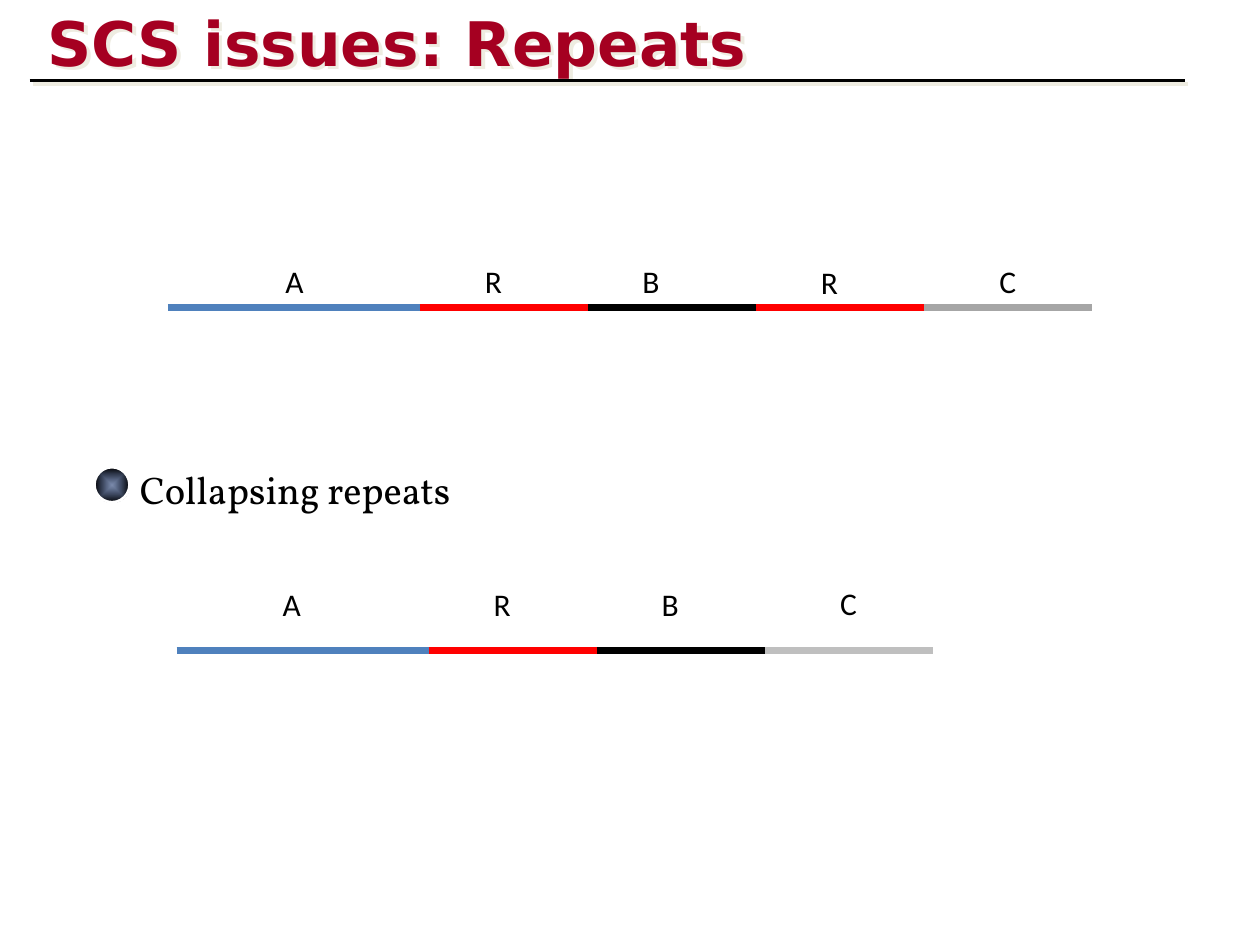
from dataclasses import dataclass
from typing import Any, Optional

from lxml.etree import SubElement
from pptx import Presentation
from pptx.dml.color import RGBColor as Color
from pptx.enum.shapes import MSO_CONNECTOR as Connector, MSO_SHAPE as Preset
from pptx.enum.text import MSO_ANCHOR as Anchor, MSO_AUTO_SIZE as AutoSize, PP_ALIGN as Align
from pptx.oxml import parse_xml
from pptx.oxml.ns import nsdecls, qn
from pptx.util import Pt


@dataclass(frozen=True)
class Theme:
    """Colours, fonts and type sizes of the slide."""
    ink: str = "000000"
    title: str = "A50021"
    shadow: str = "EEECE1"
    unique: str = "4F81BD"
    repeat: str = "FF0000"
    tail: str = "A6A6A6"
    merged_tail: str = "BFBFBF"
    ball: str = "002060"
    ball_edge: str = "FFFFFF"
    title_font: str = "DejaVu Sans"
    body_font: str = "Vollkorn"
    label_font: str = "Calibri"
    title_size: float = 35.1
    body_size: float = 22
    label_size: float = 18
    segment_width: float = 4
    rule_width: float = 2.25


THEME = Theme()


@dataclass(frozen=True)
class Segment:
    """One stretch of a sequence and the place of its label."""
    name: str
    length: float
    color: str
    label_left: float
    label_drop: float = 0


@dataclass(frozen=True)
class Sequence:
    """A row of segments laid end to end."""
    left: float
    top: float
    label_top: float
    segments: tuple[Segment, ...]


GENOME = Sequence(96, 175.7, 146, (
    Segment("A", 144, THEME.unique, 156),
    Segment("R", 96, THEME.repeat, 270),
    Segment("B", 96, THEME.ink, 360),
    Segment("R", 96, THEME.repeat, 462, 1),
    Segment("C", 96, THEME.tail, 564),
))
COLLAPSED = Sequence(101, 371.5, 330.5, (
    Segment("A", 144, THEME.unique, 154.5),
    Segment("R", 96, THEME.repeat, 275),
    Segment("B", 96, THEME.ink, 371),
    Segment("C", 96, THEME.merged_tail, 473, -0.5),
))


def apply(target: Any, values: dict[str, Any]) -> None:
    """Set every named attribute on the target."""
    for name, value in values.items():
        setattr(target, name, value)


def place(shape: Any, left: float, top: float, width: float, height: float) -> None:
    """Move and size a shape in points."""
    apply(shape, {"left": Pt(left), "top": Pt(top), "width": Pt(width), "height": Pt(height)})


def write(box: Any, text: str, font: str, size: float, color: str, bold: bool = False,
          **frame_values: Any) -> None:
    """Fill a box with one left-aligned paragraph."""
    frame = box.text_frame
    apply(frame, {"word_wrap": True, "auto_size": AutoSize.NONE,
                  "vertical_anchor": Anchor.TOP, **frame_values})
    para = frame.paragraphs[0]
    apply(para, {"alignment": Align.LEFT, "space_before": Pt(0)})
    span = para.add_run()
    span.text = text
    apply(span.font, {"name": font, "size": Pt(size), "bold": bold})
    span.font.color.rgb = Color.from_string(color)


def set_effects(shape: Any, shadow: Optional[str] = None) -> None:
    """Replace inherited effects with an optional hard shadow."""
    effects = SubElement(shape._element.spPr, qn("a:effectLst"))
    if shadow:
        outer = SubElement(effects, qn("a:outerShdw"), dist=str(Pt(2.8)), dir="2700000")
        SubElement(outer, qn("a:srgbClr"), val=shadow)


def add_line(page: Any, left: float, top: float, length: float, color: str,
             width: float, shadow: Optional[str] = None) -> None:
    """Draw a horizontal line."""
    line = page.shapes.add_connector(Connector.STRAIGHT, Pt(left), Pt(top),
                                     Pt(left + length), Pt(top))
    line.line.color.rgb = Color.from_string(color)
    line.line.width = Pt(width)
    set_effects(line, shadow)


def add_sequence(page: Any, sequence: Sequence) -> None:
    """Draw the segments of a sequence with their labels."""
    left = sequence.left
    for segment in sequence.segments:
        add_line(page, left, sequence.top, segment.length, segment.color, THEME.segment_width)
        left += segment.length
        label = page.shapes.add_textbox(
            Pt(segment.label_left), Pt(sequence.label_top + segment.label_drop), Pt(30), Pt(29))
        write(label, segment.name, THEME.label_font, THEME.label_size, THEME.ink)


def add_title(page: Any, text: str) -> None:
    """Write the title with its shadow and the rule beneath."""
    title = page.shapes.title
    place(title, 20, -2, 612, 48)
    write(title, text, THEME.title_font, THEME.title_size, THEME.title, True,
          vertical_anchor=Anchor.BOTTOM, margin_bottom=Pt(1))
    set_effects(title, THEME.shadow)
    add_line(page, 17, 46, 660, THEME.ink, THEME.rule_width, THEME.shadow)


def add_ball(page: Any, left: float, top: float, size: float) -> None:
    """Draw the shaded ball that marks a point."""
    ball = page.shapes.add_shape(Preset.OVAL, Pt(left), Pt(top), Pt(size), Pt(size))
    ball.shadow.inherit = False
    ball.line.color.rgb = Color.from_string(THEME.ball_edge)
    ball.line.width = Pt(1.5)
    ball.fill.background()
    properties = ball._element.spPr
    gradient = parse_xml(
        f'<a:gradFill {nsdecls("a")} rotWithShape="1"><a:gsLst>'
        f'<a:gs pos="0"><a:srgbClr val="{THEME.ball}"><a:alpha val="51000"/></a:srgbClr></a:gs>'
        f'<a:gs pos="100000"><a:srgbClr val="{THEME.ink}"/></a:gs></a:gsLst>'
        '<a:path path="shape"><a:fillToRect l="50000" t="50000" r="50000" b="50000"/></a:path>'
        '</a:gradFill>')
    properties.replace(properties.find(qn("a:noFill")), gradient)


def add_point(page: Any, text: str) -> None:
    """Write the body point beside its ball."""
    add_ball(page, 54, 267, 20)
    body = page.placeholders[1]
    place(body, 72.7, 262.5, 511, 34)
    properties = body.text_frame.paragraphs[0]._p.get_or_add_pPr()
    apply_indent = {"marL": "0", "indent": "0"}
    for name, value in apply_indent.items():
        properties.set(name, value)
    SubElement(properties, qn("a:buNone"))
    write(body, text, THEME.body_font, THEME.body_size, THEME.ink)


def main() -> None:
    """Build and save the slide."""
    deck = Presentation()
    apply(deck, {"slide_width": Pt(720), "slide_height": Pt(540)})
    page = deck.slides.add_slide(deck.slide_layouts[1])
    add_title(page, "SCS issues: Repeats")
    add_sequence(page, GENOME)
    add_point(page, "Collapsing repeats")
    add_sequence(page, COLLAPSED)
    deck.save("out.pptx")


if __name__ == "__main__":
    main()
